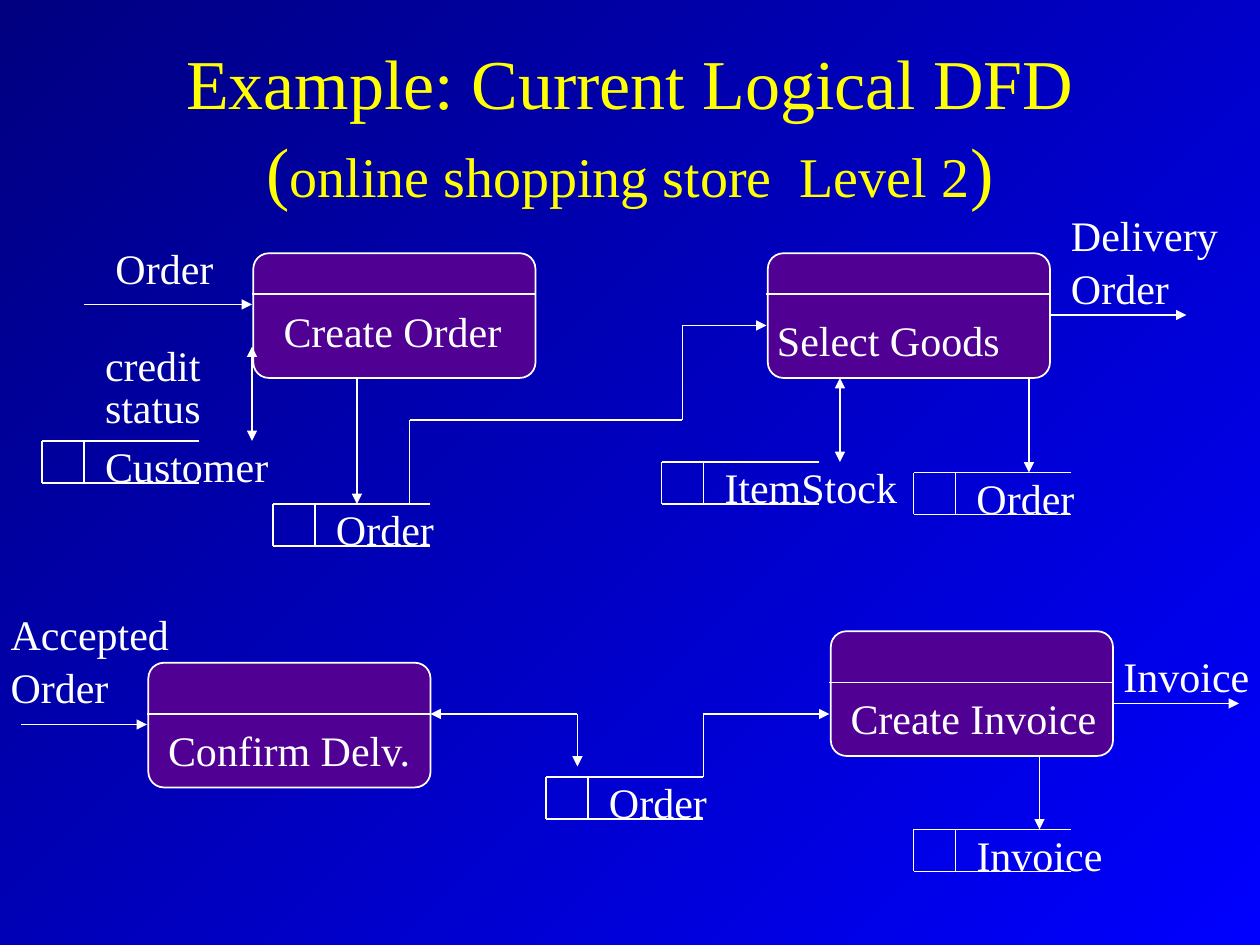
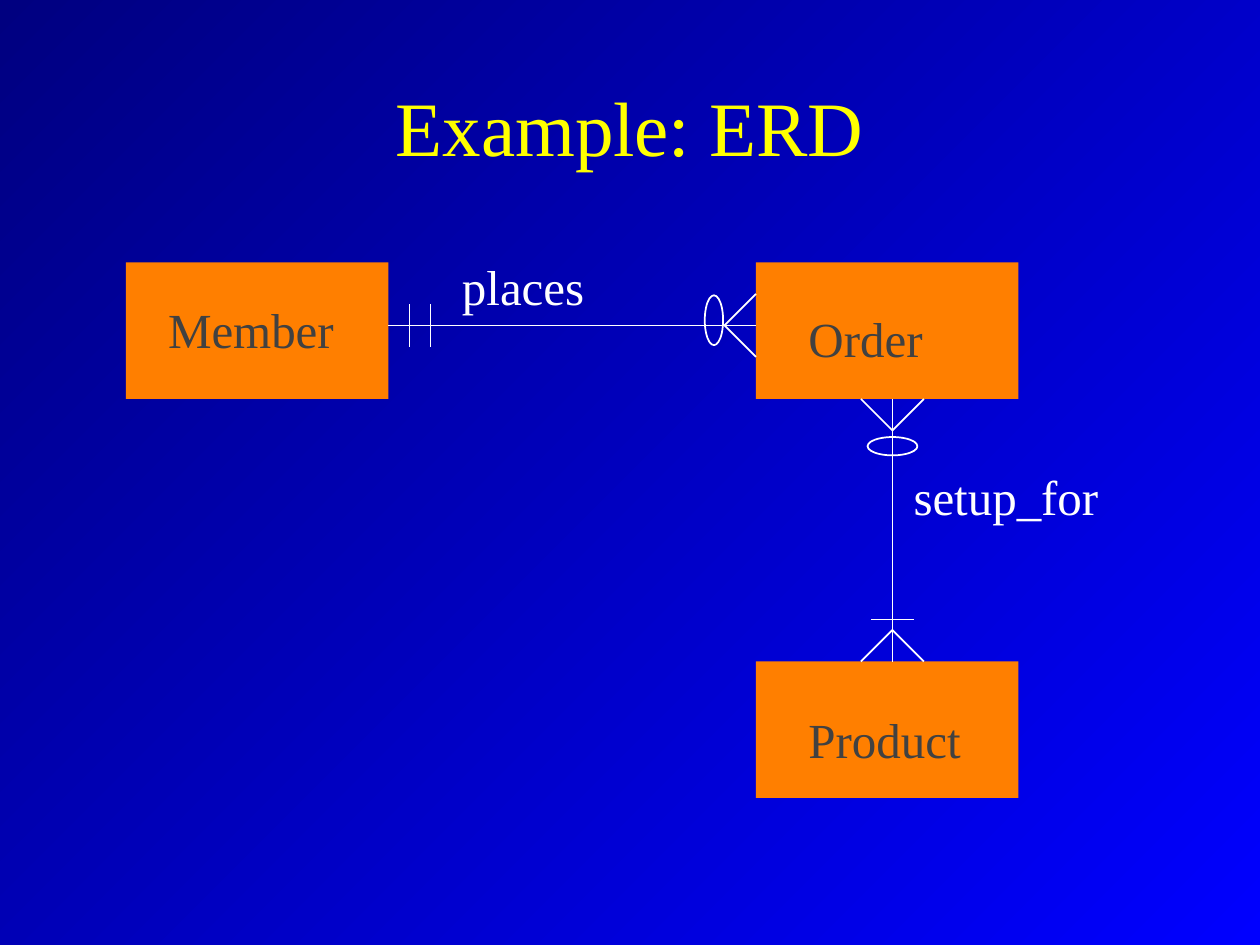
from itertools import pairwise

from lxml.etree import SubElement
from pptx import Presentation
from pptx.dml.color import RGBColor
from pptx.enum.shapes import MSO_CONNECTOR as Connector, MSO_SHAPE as Shape
from pptx.enum.text import MSO_ANCHOR as Anchor, PP_ALIGN as Align
from pptx.oxml.ns import qn
from pptx.util import Pt

PX = 9525
WIDTH, HEIGHT = 960, 720
FONT = "Times New Roman"
NAVY = RGBColor(0x00, 0x00, 0x80)
BLUE = RGBColor(0x00, 0x00, 0xFF)
YELLOW = RGBColor(0xFF, 0xFF, 0x00)
WHITE = RGBColor(0xFF, 0xFF, 0xFF)
PURPLE = RGBColor(0x50, 0x00, 0x93)
ORANGE = RGBColor(0xFF, 0x7F, 0x00)
GRAY = RGBColor(0x41, 0x41, 0x41)


class Diagram:
    def __init__(self, presentation, label_size):
        self.slide = presentation.slides.add_slide(presentation.slide_layouts[6])
        self.label_size = label_size
        fill = self.slide.background.fill
        fill.gradient()
        fill.gradient_angle = 315
        for stop, color, position in zip(fill.gradient_stops, (NAVY, BLUE), (0, 1)):
            stop.color.rgb = color
            stop.position = position

    def text_frame(self, *box):
        frame = self.slide.shapes.add_textbox(*(n * PX for n in box)).text_frame
        frame.word_wrap = True
        frame.margin_left = frame.margin_right = 0
        frame.margin_top = frame.margin_bottom = 0
        return frame

    def title(self, *lines):
        frame = self.text_frame(72, 34, 816, 120)
        frame.vertical_anchor = Anchor.MIDDLE
        paragraph = frame.paragraphs[0]
        paragraph.alignment = Align.CENTER
        paragraph.line_spacing = 1.05
        paragraph.font.name = FONT
        paragraph.font.color.rgb = YELLOW
        for index, runs in enumerate(lines):
            if index:
                paragraph.add_line_break()
            for text, size in runs:
                run = paragraph.add_run()
                run.text = text
                run.font.size = Pt(size)

    def label(self, x, y, text, color=WHITE, spacing=1.05):
        lines = text.split("\n")
        em = self.label_size * 4 / 3
        width = min(round(max(map(len, lines)) * em * 0.6), WIDTH - x)
        frame = self.text_frame(x, y, width, round(len(lines) * em * 1.2))
        for index, line in enumerate(lines):
            paragraph = frame.add_paragraph() if index else frame.paragraphs[0]
            paragraph.text = line
            paragraph.line_spacing = spacing
            paragraph.font.name = FONT
            paragraph.font.size = Pt(self.label_size)
            paragraph.font.color.rgb = color

    def shape(self, kind, box, fill=None, line=None):
        shape = self.slide.shapes.add_shape(kind, *(n * PX for n in box))
        shape.shadow.inherit = False
        if fill is None:
            shape.fill.background()
        else:
            shape.fill.solid()
            shape.fill.fore_color.rgb = fill
        if line is None:
            shape.line.fill.background()
        else:
            shape.line.color.rgb = line
            shape.line.width = Pt(1)
        return shape

    def path_line(self, *points, head=False, tail=False):
        segments = list(pairwise(points))
        for index, (start, end) in enumerate(segments):
            connector = self.slide.shapes.add_connector(
                Connector.STRAIGHT, *(n * PX for n in start + end))
            connector.line.color.rgb = WHITE
            connector.line.width = Pt(1)
            line = connector.line._get_or_add_ln()
            if head and index == 0:
                SubElement(line, qn("a:headEnd"), type="triangle")
            if tail and index == len(segments) - 1:
                SubElement(line, qn("a:tailEnd"), type="triangle")
            SubElement(connector._element.spPr, qn("a:effectLst"))

    def process(self, x, y, band, text, indent, drop):
        shape = self.shape(Shape.ROUNDED_RECTANGLE, (x + 1, y + 1, 215, 95), PURPLE, WHITE)
        shape.adjustments[0] = 0.125
        self.path_line((x, y + band), (x + 216, y + band))
        self.label(x + indent, y + drop, text)

    def store(self, x, y, text):
        self.path_line((x + 120, y), (x, y), (x, y + 32), (x + 120, y + 32))
        self.path_line((x + 32, y), (x + 32, y + 32))
        self.label(x + 48, y - 2, text)

    def entity(self, x, y, text, indent, drop):
        self.shape(Shape.RECTANGLE, (x, y, 200, 104), ORANGE)
        self.label(x + indent, y + drop, text, GRAY)


def build_data_flow(presentation):
    diagram = Diagram(presentation, 24)
    diagram.title([("Example: Current Logical DFD", 40)],
                  [("(", 40), ("online shopping store  Level 2", 32), (")", 40)])

    for process in ((192, 192, 32, "Create Order", 24, 39),
                    (584, 192, 32, "Select Goods", 8, 46),
                    (112, 504, 40, "Confirm Delv.", 16, 46),
                    (632, 480, 40, "Create Invoice", 16, 46)):
        diagram.process(*process)

    for store in ((32, 336, "Customer"), (208, 384, "Order"), (504, 352, "ItemStock"),
                  (696, 360, "Order"), (416, 592, "Order"), (696, 632, "Invoice")):
        diagram.store(*store)

    for flow in (((64, 232), (192, 232)),
                 ((272, 288), (272, 384)),
                 ((312, 384), (312, 320), (520, 320), (520, 248), (584, 248)),
                 ((784, 288), (784, 360)),
                 ((800, 240), (904, 240)),
                 ((16, 552), (112, 552)),
                 ((536, 592), (536, 544), (632, 544)),
                 ((792, 576), (792, 632)),
                 ((848, 536), (944, 536))):
        diagram.path_line(*flow, tail=True)

    for exchange in (((192, 264), (192, 336)),
                     ((640, 288), (640, 352)),
                     ((328, 544), (440, 544), (440, 584))):
        diagram.path_line(*exchange, head=True, tail=True)

    diagram.label(88, 183, "Order")
    diagram.label(816, 158, "Delivery\nOrder")
    diagram.label(8, 462, "Accepted\nOrder")
    diagram.label(856, 494, "Invoice")
    diagram.label(80, 265, "credit\nstatus", spacing=0.84)


def build_entity_relations(presentation):
    diagram = Diagram(presentation, 28)
    diagram.title([("Example: ERD", 44)])

    diagram.entity(96, 200, "Member", 32, 26)
    diagram.entity(576, 200, "Order", 40, 33)
    diagram.entity(576, 504, "Product", 40, 34)

    for relation in (((296, 248), (576, 248)), ((680, 304), (680, 504))):
        diagram.path_line(*relation)
    for crow_foot in (((576, 224), (552, 248), (576, 272)),
                      ((656, 304), (680, 328), (704, 304)),
                      ((656, 504), (680, 480), (704, 504))):
        diagram.path_line(*crow_foot)
    for one_mark in (((312, 232), (312, 264)), ((328, 232), (328, 264)),
                     ((664, 472), (696, 472))):
        diagram.path_line(*one_mark)
    for zero_mark in ((537, 225, 14, 38), (661, 333, 38, 14)):
        diagram.shape(Shape.OVAL, zero_mark, line=WHITE)

    diagram.label(352, 193, "places")
    diagram.label(696, 353, "setup_for")


def main():
    presentation = Presentation()
    presentation.slide_width = WIDTH * PX
    presentation.slide_height = HEIGHT * PX
    build_data_flow(presentation)
    build_entity_relations(presentation)
    presentation.save("out.pptx")


if __name__ == "__main__":
    main()
